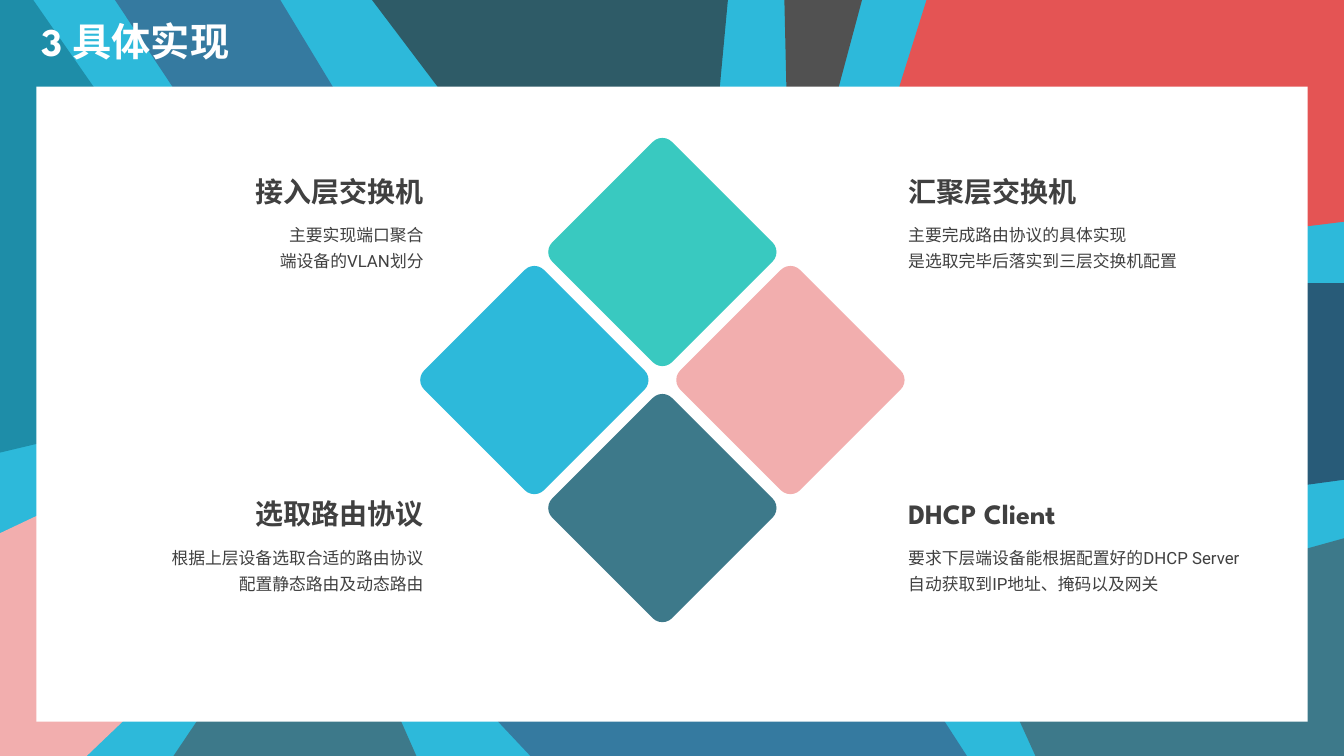
from pptx import Presentation
from pptx.dml.color import RGBColor as RGB
from pptx.enum.shapes import MSO_SHAPE as SHAPE
from pptx.enum.text import MSO_ANCHOR as ANCHOR, PP_ALIGN as ALIGN
from pptx.util import Inches, Pt

WHITE = RGB.from_string("FFFFFF")
INK = RGB.from_string("404040")
SKY = RGB.from_string("2DB9DA")
TEAL = RGB.from_string("1E8DA8")
PINK = RGB.from_string("F2AEAE")
SLATE = RGB.from_string("3D798A")
BLUE = RGB.from_string("357AA0")
PINE = RGB.from_string("2E5B67")
GREY = RGB.from_string("515151")
RED = RGB.from_string("E45454")
NAVY = RGB.from_string("285B78")
MINT = RGB.from_string("39C9C0")
HEAD, BODY = "League Spartan", "Roboto"
WIDE, HIGH = 13.33, 7.5
SIDE, RIM, FOOT = 0.36, 0.86, 7.16
EDGE = WIDE - SIDE

BLOBS = [
    (TEAL, [(0, 0), (0.33, 0), (1.95, 2.33), (2.72, 3.05), (1.89, 4.04), (0, 4.49)]),
    (PINK, [(3.2, 3.55), (2.72, 5.23), (1.33, 7.05), (0.86, HIGH), (0, HIGH),
            (0, 5.29), (SIDE, 5.12)]),
    (SLATE, [(3.51, 3.88), (3.98, FOOT), (4.13, HIGH), (1.72, HIGH), (3.26, 5.21)]),
    (BLUE, [(1.14, 0), (2.78, 0), (3.3, RIM), (9.37, FOOT), (9.59, HIGH),
            (5.26, HIGH), (4.94, FOOT), (1.71, RIM)]),
    (PINE, [(3.69, 0), (7.22, 0), (7.14, RIM), (7.75, 3.05), (4.34, RIM)]),
    (GREY, [(7.78, 0), (8.55, 0), (8.32, RIM), (8.26, 2.77), (7.8, RIM)]),
    (RED, [(9.19, 0), (WIDE, 0), (WIDE, 2.2), (8.73, 2.77), (8.92, RIM)]),
    (NAVY, [(EDGE, 2.81), (WIDE, 2.81), (WIDE, 4.76), (11.19, 5.05), (8.79, 3.26)]),
    (SLATE, [(8.49, 3.58), (11.3, 5.61), (EDGE, 5.44), (WIDE, 5.34),
             (WIDE, HIGH), (10.27, HIGH)]),
]


def paint(shape, color):
    """Give a shape a flat fill without line or shadow."""
    shape.fill.solid()
    shape.fill.fore_color.rgb = color
    shape.line.fill.background()
    shape.shadow.inherit = False


def backdrop(slide, left, top, width, height):
    """Draw the coloured blobs and the white panel inside the box."""
    slide.background.fill.solid()
    slide.background.fill.fore_color.rgb = SKY
    for color, points in BLOBS:
        first, *rest = [(Inches(left + x), Inches(top + y)) for x, y in points]
        pen = slide.shapes.build_freeform(*first)
        pen.add_line_segments(rest, close=True)
        paint(pen.convert_to_shape(), color)
    box = left + SIDE, top + RIM, width - 2 * SIDE, FOOT - RIM
    paint(slide.shapes.add_shape(SHAPE.RECTANGLE, *map(Inches, box)), WHITE)


def write(slide, box, lines, font, size, color, bold=False, align=ALIGN.LEFT,
          space=1.3, wrap=True):
    """Add a text box with one paragraph per line and return its frame."""
    frame = slide.shapes.add_textbox(*map(Inches, box)).text_frame
    frame.word_wrap = wrap
    frame.text = "\n".join(lines)
    for para in frame.paragraphs:
        para.alignment, para.line_spacing = align, space
        style = para.runs[0].font
        style.name, style.size, style.bold = font, Pt(size), bold
        style.color.rgb = color
    return frame


def title(slide, box, text):
    """Write the slide title, centred vertically in the box."""
    frame = write(slide, box, [text], HEAD, 28, WHITE, True, space=0.9)
    frame.vertical_anchor = ANCHOR.MIDDLE
    frame.paragraphs[0].space_before = Pt(10)


def diamonds(slide, left, top, size, side=1.68, arm=1.27):
    """Set four rounded diamonds around the middle of a square box."""
    gap = (size - side) / 2
    for dx, dy, color in [(0, -1, MINT), (-1, 0, SKY), (1, 0, PINK), (0, 1, SLATE)]:
        box = left + gap + dx * arm, top + gap + dy * arm, side, side
        tile = slide.shapes.add_shape(SHAPE.ROUNDED_RECTANGLE, *map(Inches, box))
        tile.adjustments[0] = 0.08
        tile.rotation = 315
        paint(tile, color)


def note(slide, left, top, width, align, head, lines):
    """Write a heading with its description below, within the box."""
    wide = 1.88
    x = left + width - wide if align == ALIGN.RIGHT else left
    write(slide, (left, top + 0.54, width, 0.6), lines, BODY, 12, INK, align=align)
    write(slide, (x, top, wide, 0.49), [head], HEAD, 20, INK, True, align, wrap=False)


def main():
    """Build the slide and save it."""
    deck = Presentation()
    deck.slide_width, deck.slide_height = Inches(WIDE), Inches(HIGH)
    slide = deck.slides.add_slide(deck.slide_layouts[6])
    backdrop(slide, 0, 0, WIDE, HIGH)
    title(slide, (0.31, 0.11, 8.48, 0.65), "3 具体实现")
    diamonds(slide, 4.17, 1.37, 4.8)
    rows = [
        (1.58, ("接入层交换机", ["主要实现端口聚合", "端设备的VLAN划分"]),
         ("汇聚层交换机", ["主要完成路由协议的具体实现", "是选取完毕后落实到三层交换机配置"])),
        (4.78, ("选取路由协议", ["根据上层设备选取合适的路由协议", "配置静态路由及动态路由"]),
         ("DHCP Client",
          ["要求下层端设备能根据配置好的DHCP Server自动获取到IP地址、掩码以及网关"])),
    ]
    for top, near, far in rows:
        note(slide, 0.77, top, 3.53, ALIGN.RIGHT, *near)
        note(slide, 8.91, top, 3.53, ALIGN.LEFT, *far)
    deck.save("out.pptx")


main()
